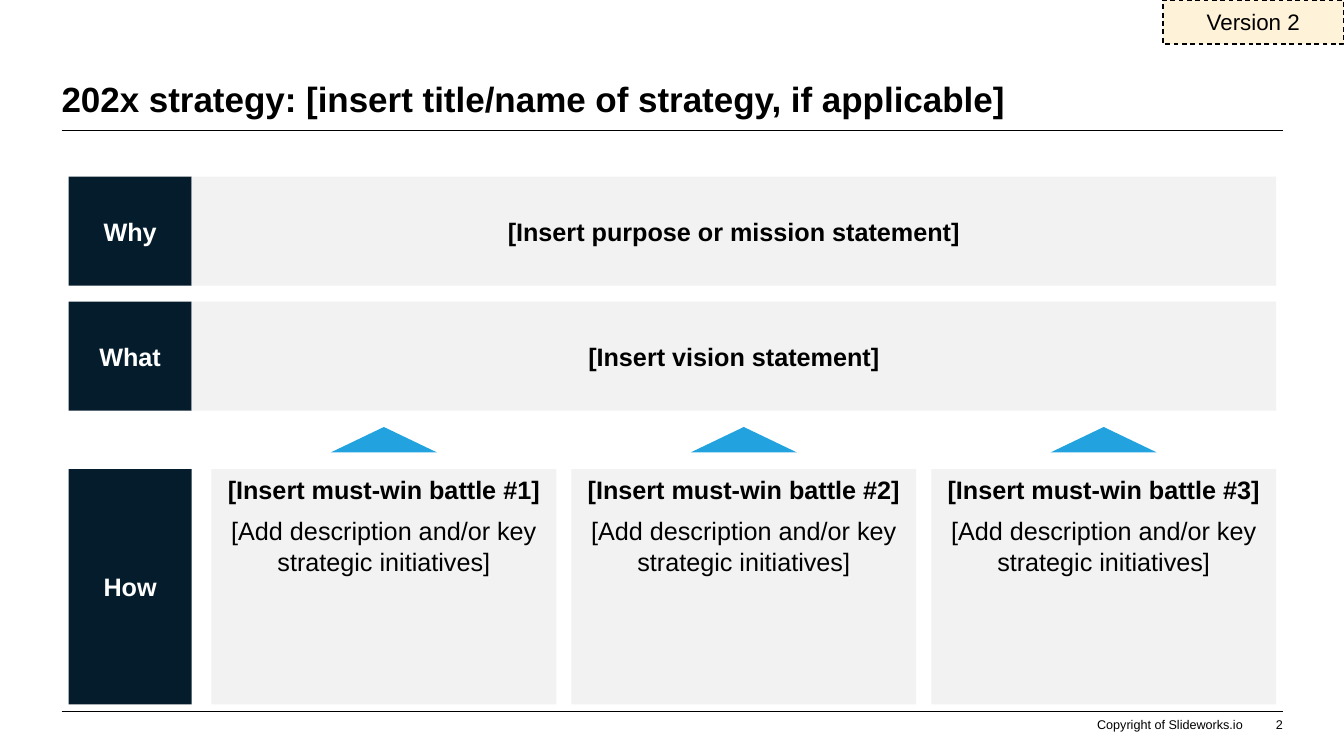
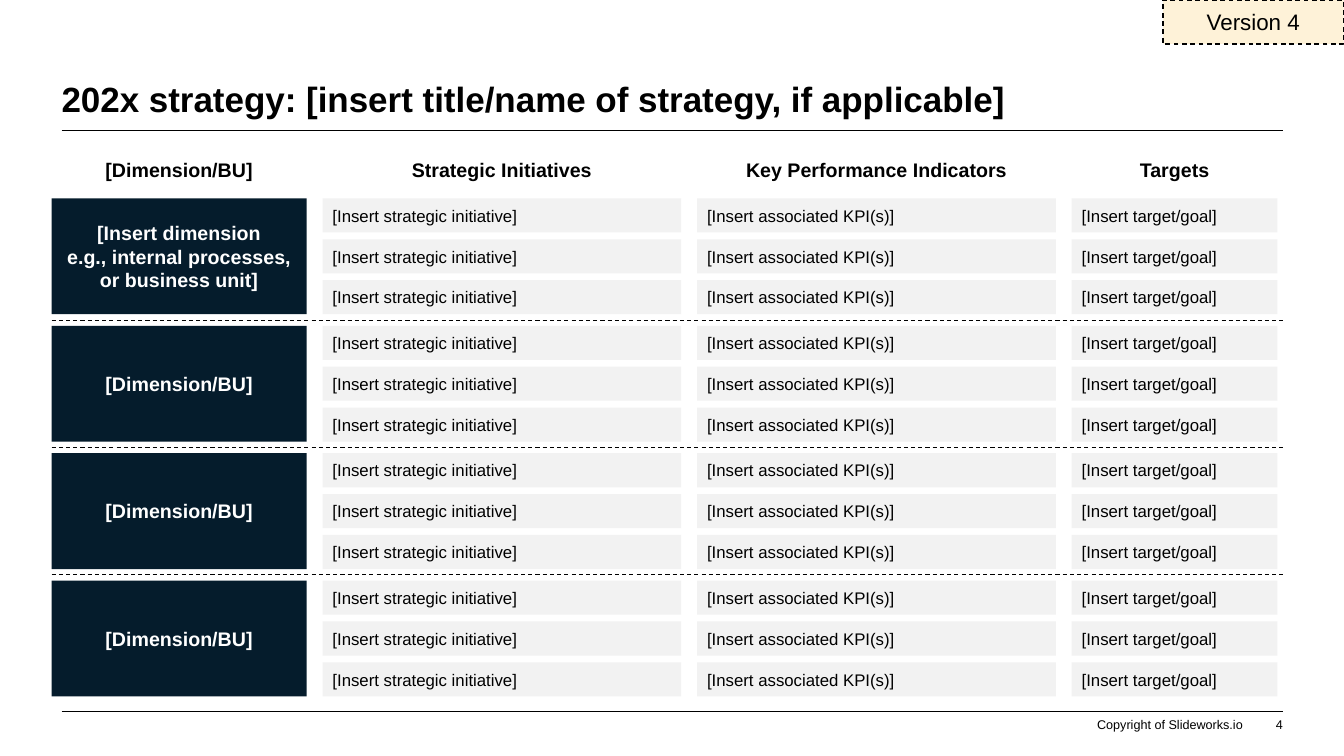
from lxml import etree
from pptx import Presentation
from pptx.dml.color import RGBColor
from pptx.enum.dml import MSO_LINE
from pptx.enum.shapes import MSO_CONNECTOR, MSO_SHAPE
from pptx.enum.text import MSO_ANCHOR, MSO_AUTO_SIZE, PP_ALIGN
from pptx.oxml.ns import qn
from pptx.util import Cm, Pt

RECT, PEAK = MSO_SHAPE.RECTANGLE, MSO_SHAPE.ISOSCELES_TRIANGLE
LINE, DASH = MSO_CONNECTOR.STRAIGHT, MSO_LINE.DASH
LEFT, MID, RIGHT = PP_ALIGN.LEFT, PP_ALIGN.CENTER, PP_ALIGN.RIGHT
TOP, CORE, BASE = MSO_ANCHOR.TOP, MSO_ANCHOR.MIDDLE, MSO_ANCHOR.BOTTOM

FONT = "Arial"
BLACK, WHITE, NAVY = "000000", "FFFFFF", "051C2C"
GREY, BLUE, CREAM = "F2F2F2", "22A3DF", "FEF2D8"
TITLE = "202x strategy: [insert title/name of strategy, if applicable]"
START, END = 1.55, 32.33  # left and right ends of the rules
rgb = RGBColor.from_string


def write(shape, *lines, size=18, bold=False, color=BLACK, align=MID,
          anchor=CORE, pad=(0.25, 0.13), gap=0):
    """Fill a shape with one paragraph per line; bold may be a list, one per line."""
    frame = shape.text_frame
    frame.word_wrap = True
    frame.auto_size = MSO_AUTO_SIZE.NONE
    frame.vertical_anchor = anchor
    frame.margin_left = frame.margin_right = Cm(pad[0])
    frame.margin_top = frame.margin_bottom = Cm(pad[1])
    for i, line in enumerate(lines):
        para = frame.add_paragraph() if i else frame.paragraphs[0]
        para.alignment = align
        para.space_before = Pt(gap if i else 0)
        run = para.add_run()
        run.text = line
        run.font.name = FONT
        run.font.size = Pt(size)
        run.font.bold = bold[i] if isinstance(bold, list) else bold
        run.font.color.rgb = rgb(color)


def box(slide, x, y, w, h, fill=None, kind=RECT):
    """Add a filled shape without outline, or a text box if there is no fill."""
    place = Cm(x), Cm(y), Cm(w), Cm(h)
    if fill is None:
        return slide.shapes.add_textbox(*place)
    shape = slide.shapes.add_shape(kind, *place)
    shape.shadow.inherit = False
    shape.fill.solid()
    shape.fill.fore_color.rgb = rgb(fill)
    shape.line.fill.background()
    return shape


deck = Presentation()
deck.slide_width, deck.slide_height = Cm(33.87), Cm(19.05)

# Grid of the second slide: four groups of three rows
group_y, group_h, group_step = 5, 2.92, 3.21
cell_h, cell_step = 0.86, 1.03
half = (group_step - group_h) / 2
splits = [group_y + n * group_step - half for n in (1, 2, 3)]

# Shared parts
slides = []
for page, cuts in ((2, []), (4, splits)):
    slide = deck.slides.add_slide(deck.slide_layouts[5])
    slides.append(slide)
    title = slide.shapes.title
    title.left, title.top, title.width, title.height = (
        Cm(START), Cm(0.99), Cm(END - START), Cm(2.03))
    write(title, TITLE, size=25, bold=True, align=LEFT, anchor=BASE, pad=(0, 0))

    rules = [(START, 3.28, 0.5, None), (START, 17.93, 0.5, None)]
    rules += [(1.3, y, 0.75, DASH) for y in cuts]
    for x, y, width, dash in rules:
        rule = slide.shapes.add_connector(LINE, Cm(x), Cm(y), Cm(END), Cm(y))
        rule.line.color.rgb = rgb(BLACK)
        rule.line.width = Pt(width)
        if dash:
            rule.line.dash_style = dash
        etree.SubElement(rule._element.spPr, qn("a:effectLst"))

    for x, w, text in ((27.11, 4.21, "Copyright of Slideworks.io"),
                       (31.42, 0.91, str(page))):
        write(box(slide, x, 18.06, w, 0.38), text, size=9, align=RIGHT,
              anchor=BASE, pad=(0, 0))

    tag = box(slide, 29.31, 0, 4.55, 1.11, CREAM)
    tag.line.color.rgb = rgb(BLACK)
    tag.line.width = Pt(0.85)
    tag.line.dash_style = DASH
    write(tag, f"Version {page}", size=16)

why, grid = slides

# Why, what, how
side_x, side_w = 1.73, 3.1
wide_x, wide_w = side_x + side_w, 27.33
how_y, how_h = 11.82, 5.93
for label, y, h, text in (
        ("Why", 4.45, 2.75, "[Insert purpose or mission statement]"),
        ("What", 7.6, 2.75, "[Insert vision statement]"),
        ("How", how_y, how_h, None)):
    write(box(why, side_x, y, side_w, h, NAVY), label, bold=True, color=WHITE)
    if text:
        write(box(why, wide_x, y, wide_w, h, GREY), text, bold=True)

card_w, card_gap, peak_w = 8.69, 0.38, 2.67
for n in range(3):
    x = 5.33 + n * (card_w + card_gap)
    write(box(why, x, how_y, card_w, how_h, GREY),
          f"[Insert must-win battle #{n + 1}]",
          "[Add description and/or key strategic initiatives]",
          bold=[True, False], anchor=TOP, gap=8)
    box(why, x + (card_w - peak_w) / 2, 10.76, peak_w, 0.64, BLUE, PEAK)

# Dimensions, initiatives, indicators, targets
names = [["[Insert dimension", "e.g., internal processes, or business unit]"]]
names += [["[Dimension/BU]"]] * 3
x = 1.3
for head, w, text in (
        ("[Dimension/BU]", 6.43, None),
        ("Strategic Initiatives", 9.04, "[Insert strategic initiative]"),
        ("Key Performance Indicators", 9.04, "[Insert associated KPI(s)]"),
        ("Targets", 5.18, "[Insert target/goal]")):
    write(box(grid, x, 3.84, w, 0.86), head, size=14, bold=True, pad=(0, 0.13))
    for n, name in enumerate(names):
        y = group_y + n * group_step
        if text is None:
            write(box(grid, x, y, w, group_h, NAVY), *name, size=14, bold=True,
                  color=WHITE)
            continue
        for row in range(3):
            write(box(grid, x, y + row * cell_step, w, cell_h, GREY), text,
                  size=12, align=LEFT)
    x += w + 0.4

deck.save("out.pptx")
